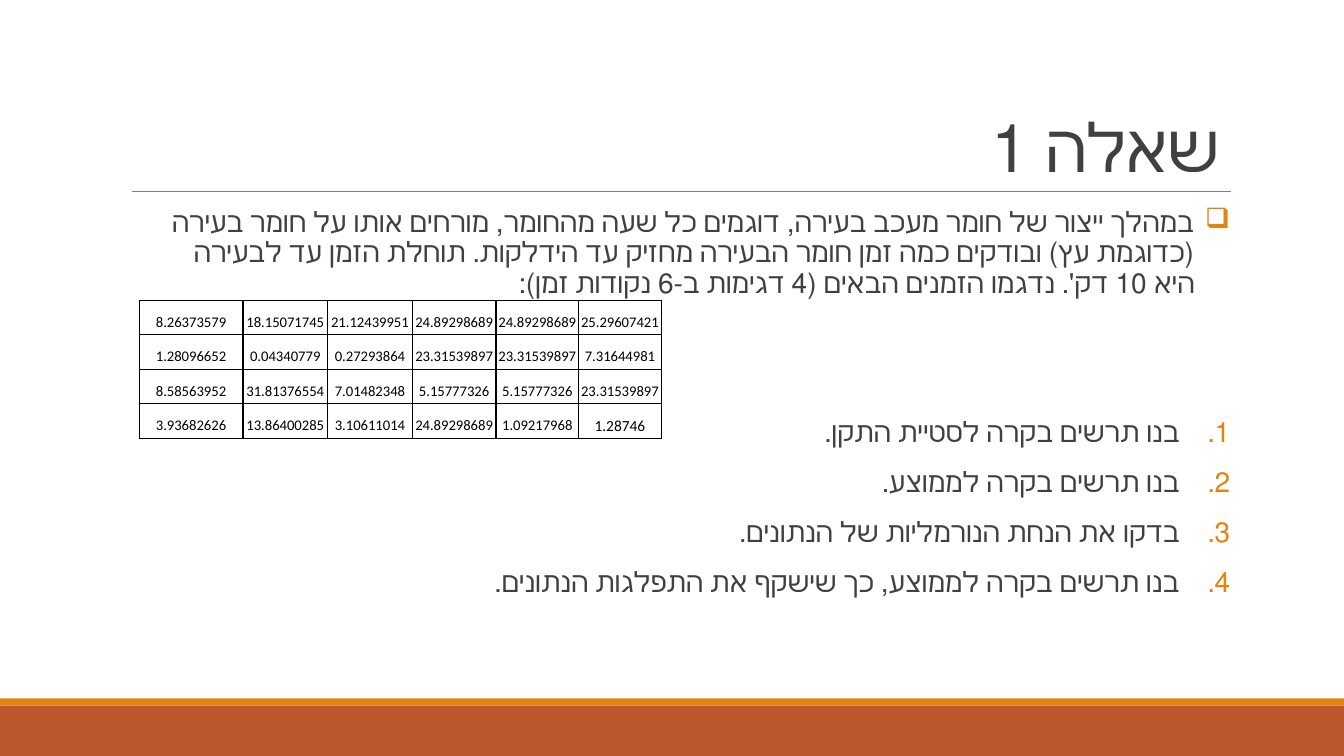
import pptx
import pptx.util
import pptx.dml.color
import pptx.enum.shapes
import pptx.enum.text
import pptx.oxml.ns
from lxml import etree

Inches, Pt = pptx.util.Inches, pptx.util.Pt
RGBColor = pptx.dml.color.RGBColor
PP_ALIGN, MSO_ANCHOR = pptx.enum.text.PP_ALIGN, pptx.enum.text.MSO_ANCHOR
MSO_SHAPE = pptx.enum.shapes.MSO_SHAPE
MSO_CONNECTOR = pptx.enum.shapes.MSO_CONNECTOR
qn = pptx.oxml.ns.qn

RUST = RGBColor(0xBD, 0x58, 0x2C)
ORANGE = RGBColor(0xE4, 0x83, 0x12)
GRAY = RGBColor(0x80, 0x80, 0x80)
DARK = RGBColor(0x40, 0x40, 0x40)
BLACK = RGBColor(0, 0, 0)

INTRO = (
    "במהלך ייצור של חומר מעכב בעירה, דוגמים כל שעה מהחומר, מורחים אותו על חומר בעירה "
    "(כדוגמת עץ) ובודקים כמה זמן חומר הבעירה מחזיק עד הידלקות. תוחלת הזמן עד לבעירה היא "
    "10 דק'. נדגמו הזמנים הבאים (4 דגימות ב-6 נקודות זמן):"
)
TASKS = [
    "בנו תרשים בקרה לסטיית התקן.",
    "בנו תרשים בקרה לממוצע.",
    "בדקו את הנחת הנורמליות של הנתונים.",
    "בנו תרשים בקרה לממוצע, כך שישקף את התפלגות הנתונים.",
]
COLUMN_WIDTHS = [1.03, 0.84, 0.84, 0.83, 0.82, 0.82]
BURN_TIMES = [
    ["8.26373579", "18.15071745", "21.12439951", "24.89298689", "24.89298689", "25.29607421"],
    ["1.28096652", "0.04340779", "0.27293864", "23.31539897", "23.31539897", "7.31644981"],
    ["8.58563952", "31.81376554", "7.01482348", "5.15777326", "5.15777326", "23.31539897"],
    ["3.93682626", "13.86400285", "3.10611014", "24.89298689", "1.09217968", "1.28746"],
]


def sub(parent, tag, **attrs):
    return etree.SubElement(parent, qn(tag), attrs)


def write(tf, text, size, color=DARK, align=PP_ALIGN.RIGHT, line=0.9, before=0, after=0,
          rtl=True, spacing=None, indent=0, bullet=None, number=False):
    p = tf.paragraphs[0]
    if p.runs:
        p = tf.add_paragraph()
    p.alignment, p.line_spacing = align, line
    p.space_before, p.space_after = Pt(before), Pt(after)
    pPr = p._p.get_or_add_pPr()
    if indent:
        pPr.set("marR", str(Inches(indent)))
        pPr.set("marL", str(Inches(indent)))
        pPr.set("indent", str(-Inches(indent)))
    if bullet or number:
        sub(sub(pPr, "a:buClr"), "a:srgbClr", val=str(ORANGE))
    if bullet:
        sub(pPr, "a:buChar", char=bullet)
    if number:
        sub(pPr, "a:buAutoNum", type="arabicPeriod")
    r = p.add_run()
    r.text = text
    r.font.size, r.font.name = Pt(size), "Calibri"
    r.font.color.rgb = color
    rPr = r._r.get_or_add_rPr()
    if rtl:
        pPr.set("rtl", "1")
        rPr.set("lang", "he-IL")
    if spacing:
        rPr.set("spc", str(int(spacing * 100)))


class Deck:
    """Holds the presentation, its current slide and the shared style."""

    def __init__(self, width, height):
        self.prs = pptx.Presentation()
        self.prs.slide_width, self.prs.slide_height = Inches(width), Inches(height)
        self.s = self.prs.slides.add_slide(self.prs.slide_layouts[6])

    def band(self, x, y, w, h, color):
        sp = self.s.shapes.add_shape(
            MSO_SHAPE.RECTANGLE, Inches(x), Inches(y), Inches(w), Inches(h))
        sp.shadow.inherit = False
        sp.fill.solid()
        sp.fill.fore_color.rgb = color
        sp.line.fill.background()

    def rule(self, x1, x2, y):
        c = self.s.shapes.add_connector(
            MSO_CONNECTOR.STRAIGHT, Inches(x1), Inches(y), Inches(x2), Inches(y))
        c.line.color.rgb, c.line.width = GRAY, Pt(0.5)
        sub(c._element.spPr, "a:effectLst")

    def text_box(self, x, y, w, h, anchor=MSO_ANCHOR.TOP, side=0.1):
        tf = self.s.shapes.add_textbox(Inches(x), Inches(y), Inches(w), Inches(h)).text_frame
        tf.word_wrap, tf.vertical_anchor = True, anchor
        tf.margin_left = tf.margin_right = Inches(side)
        return tf

    def table(self, x, y, widths, row_height, rows):
        frame = self.s.shapes.add_table(
            len(rows), len(widths), Inches(x), Inches(y),
            Inches(sum(widths)), Inches(row_height * len(rows)))
        tbl = frame.table
        tbl.first_row = tbl.horz_banding = False
        for column, width in zip(tbl.columns, widths):
            column.width = Inches(width)
        for i, values in enumerate(rows):
            tbl.rows[i].height = Inches(row_height)
            for j, value in enumerate(values):
                self.cell(tbl.cell(i, j), value, first=j == 0)
        last = tbl.cell(len(rows) - 1, len(widths) - 1)
        last.text_frame.paragraphs[0].runs[0].font.size = Pt(11)

    def cell(self, cell, value, first):
        cell.margin_left = cell.margin_right = Inches(0.05 if first else 0.01)
        cell.margin_top = cell.margin_bottom = Inches(0.04 if first else 0.01)
        cell.vertical_anchor = MSO_ANCHOR.MIDDLE
        tcPr = cell._tc.get_or_add_tcPr()
        for edge in ("a:lnL", "a:lnR", "a:lnT", "a:lnB"):
            ln = sub(tcPr, edge, w=str(Pt(1)))
            sub(sub(ln, "a:solidFill"), "a:srgbClr", val=str(BLACK))
        cell.fill.background()
        write(cell.text_frame, value, 10.5, color=BLACK, align=PP_ALIGN.CENTER,
              line=1.5, after=27, rtl=False)


def main():
    deck = Deck(13.33, 7.5)
    deck.band(0, 7, 13.33, 0.5, RUST)
    deck.band(0, 6.93, 13.33, 0.07, ORANGE)
    deck.rule(1.31, 12.21, 1.9)
    title = deck.text_box(1.2, 0.31, 11, 1.59, anchor=MSO_ANCHOR.BOTTOM)
    write(title, "שאלה 1", 48, line=0.85, spacing=-0.5)
    body = deck.text_box(1.2, 2.02, 11, 4.4, side=0)
    write(body, INTRO, 20, before=12, after=2, indent=0.35, bullet="❑")
    for i, task in enumerate(TASKS):
        write(body, task, 20, before=12 if i else 83, after=2, indent=0.5, number=True)
    deck.table(1.38, 2.98, COLUMN_WIDTHS, 0.24, BURN_TIMES)
    deck.prs.save("out.pptx")


if __name__ == "__main__":
    main()
